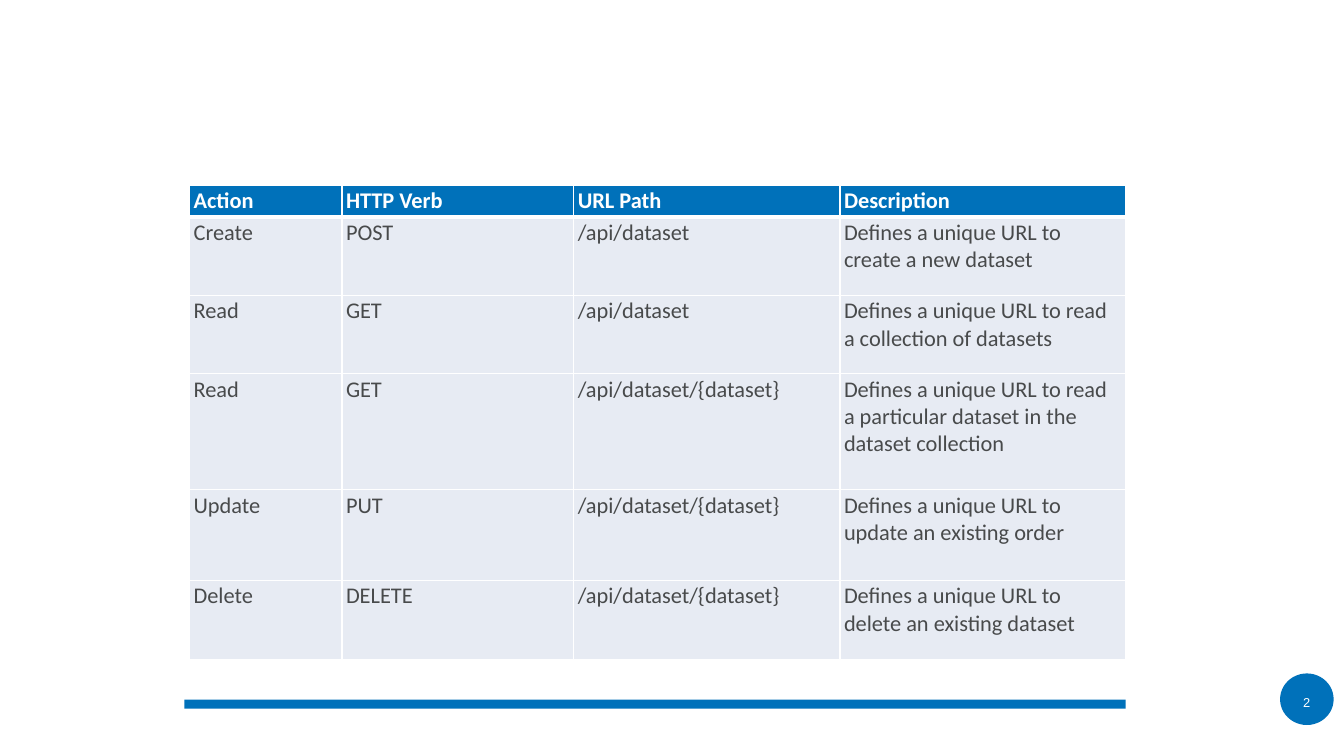
from pptx import Presentation
from pptx.dml.color import RGBColor
from pptx.enum.shapes import MSO_SHAPE as Shape
from pptx.enum.text import MSO_ANCHOR as Anchor, PP_ALIGN as Align
from pptx.oxml import parse_xml
from pptx.oxml.ns import nsdecls
from pptx.util import Cm, Pt

BLUE = RGBColor(0x00, 0x71, 0xBA)
PALE = RGBColor(0xE7, 0xEB, 0xF3)
GREY = RGBColor(0x48, 0x4A, 0x4B)
WHITE = RGBColor(0xFF, 0xFF, 0xFF)

COLUMN_WIDTHS = [3.84, 5.84, 6.71, 7.19]
ROW_HEIGHTS = [0.74, 1.98, 1.98, 2.92, 2.29, 1.98]
ROUTES = [
    ("Action", "HTTP Verb", "URL Path", "Description"),
    ("Create", "POST", "/api/dataset",
     "Defines a unique URL to create a new dataset"),
    ("Read", "GET", "/api/dataset",
     "Defines a unique URL to read a collection of datasets"),
    ("Read", "GET", "/api/dataset/{dataset}",
     "Defines a unique URL to read a particular dataset in the dataset collection"),
    ("Update", "PUT", "/api/dataset/{dataset}",
     "Defines a unique URL to update an existing order"),
    ("Delete", "DELETE", "/api/dataset/{dataset}",
     "Defines a unique URL to delete an existing dataset"),
]


def add_blue_shape(kind, left, top, width, height):
    shape = slide.shapes.add_shape(kind, Cm(left), Cm(top), Cm(width), Cm(height))
    shape.shadow.inherit = False
    shape.fill.solid()
    shape.fill.fore_color.rgb = BLUE
    shape.line.fill.background()
    return shape


def set_borders(cell, widths):
    for index, (side, points) in enumerate(widths.items()):
        border = parse_xml(
            f'<a:ln{side} {nsdecls("a")} w="{Pt(points)}"><a:solidFill>'
            f'<a:srgbClr val="{WHITE}"/></a:solidFill></a:ln{side}>')
        cell._tc.get_or_add_tcPr().insert(index, border)


prs = Presentation()
prs.slide_width, prs.slide_height = Cm(33.87), Cm(19.05)
slide = prs.slides.add_slide(prs.slide_layouts[6])

# Footer bar and slide number
add_blue_shape(Shape.RECTANGLE, 4.65, 17.63, 23.72, 0.23)
page_badge = add_blue_shape(Shape.FLOWCHART_CONNECTOR, 32.26, 16.97, 1.35, 1.3)
badge_text = page_badge.text_frame
badge_text.margin_left = badge_text.margin_right = badge_text.margin_bottom = 0
badge_text.margin_top = Cm(0.15)
badge_text.vertical_anchor = Anchor.MIDDLE
badge_text.paragraphs[0].alignment = Align.CENTER
page_number = badge_text.paragraphs[0].add_run()
page_number.text = "2"
page_number.font.name = "Arial"
page_number.font.size = Pt(9.2)
page_number.font.color.rgb = WHITE

# Table of API routes
routes = slide.shapes.add_table(
    len(ROUTES), len(COLUMN_WIDTHS), Cm(4.78), Cm(4.67),
    Cm(sum(COLUMN_WIDTHS)), Cm(sum(ROW_HEIGHTS))).table
for column, width in zip(routes.columns, COLUMN_WIDTHS):
    column.width = Cm(width)
for row, height in zip(routes.rows, ROW_HEIGHTS):
    row.height = Cm(height)

for r, route in enumerate(ROUTES):
    is_header = r == 0
    for c, entry in enumerate(route):
        cell = routes.cell(r, c)
        cell.margin_left = cell.margin_right = Cm(0.1)
        cell.margin_top = cell.margin_bottom = Cm(0.05)
        cell.vertical_anchor = Anchor.BOTTOM if is_header else Anchor.TOP
        cell.fill.solid()
        cell.fill.fore_color.rgb = BLUE if is_header else PALE
        set_borders(cell, {"L": 1, "R": 1, "T": 3 if r == 1 else 1,
                           "B": 3 if is_header else 1})
        run = cell.text_frame.paragraphs[0].add_run()
        run.text = entry
        run.font.name = "Calibri"
        run.font.size = Pt(16)
        run.font.bold = is_header
        run.font.color.rgb = WHITE if is_header else GREY

prs.save("out.pptx")
